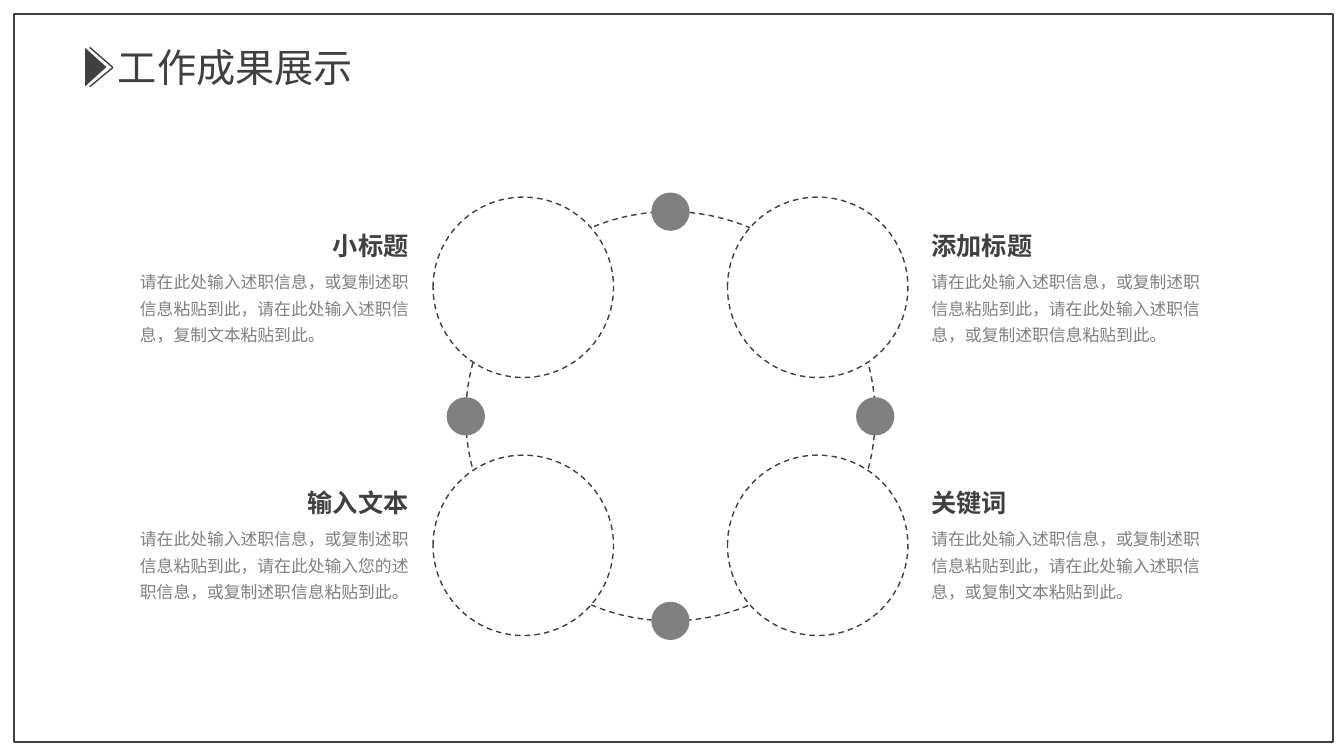
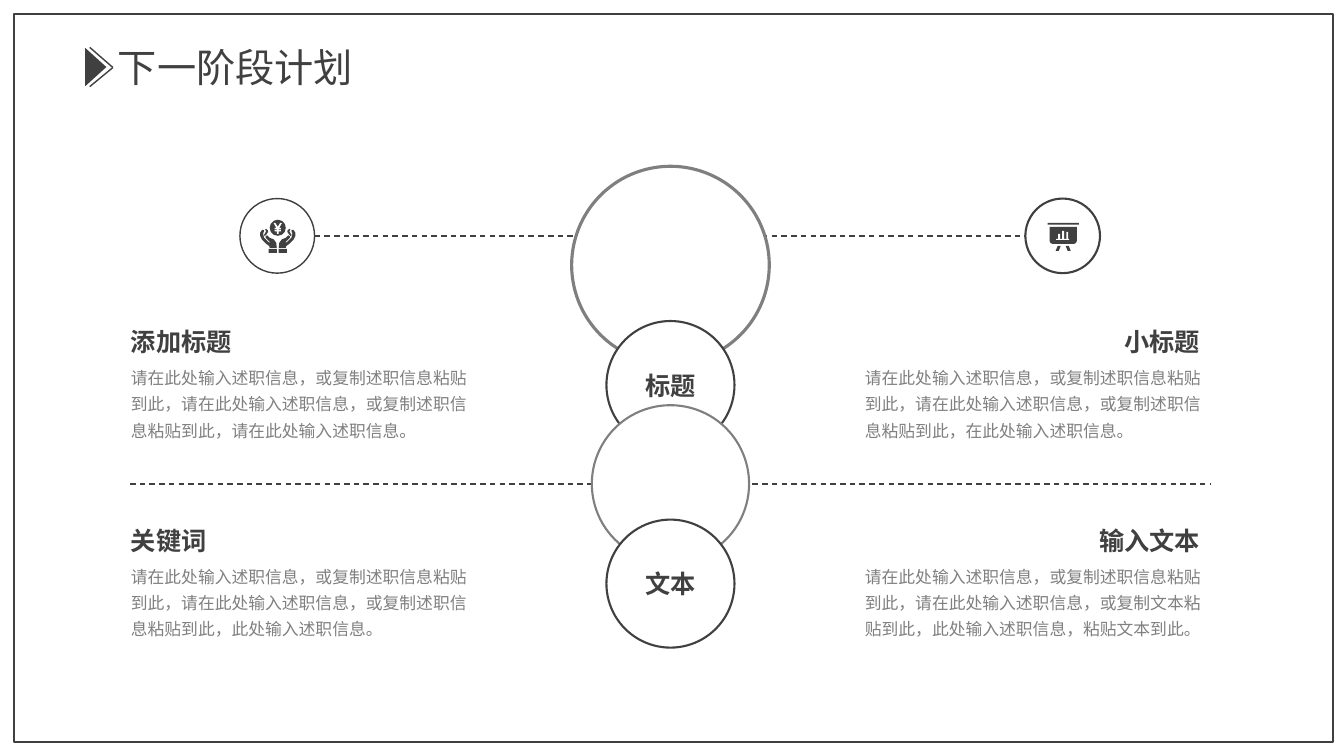
from lxml import etree
from pptx import Presentation
from pptx.dml.color import RGBColor
from pptx.enum.dml import MSO_LINE
from pptx.enum.shapes import MSO_CONNECTOR, MSO_SHAPE
from pptx.enum.text import MSO_ANCHOR, MSO_AUTO_SIZE, PP_ALIGN
from pptx.oxml.ns import qn
from pptx.util import Inches, Pt

RECTANGLE, ELLIPSE, TRIANGLE = MSO_SHAPE.RECTANGLE, MSO_SHAPE.OVAL, MSO_SHAPE.ISOSCELES_TRIANGLE
STRAIGHT, DASH = MSO_CONNECTOR.STRAIGHT, MSO_LINE.DASH
LEFT, CENTER, RIGHT = PP_ALIGN.LEFT, PP_ALIGN.CENTER, PP_ALIGN.RIGHT
TOP, MIDDLE = MSO_ANCHOR.TOP, MSO_ANCHOR.MIDDLE

FONT = "Noto Sans CJK SC"
DARK, GRAY, RING_GRAY, WHITE = "404040", "808080", "7F7F7F", "FFFFFF"
TITLE = {"size": Pt(28), "bold": False}
HEADING = {"size": Pt(18), "bold": True}
BODY = {"size": Pt(12), "bold": False}
TITLE_ONLY = 5


def rgb(value):
    return RGBColor.from_string(value)


def set_values(target, values):
    for name, value in values.items():
        setattr(target, name, value)


def write_text(shape, text, style, color, align=LEFT, anchor=TOP, spacing=1.0):
    frame = shape.text_frame
    set_values(frame, {"word_wrap": True, "auto_size": MSO_AUTO_SIZE.NONE, "vertical_anchor": anchor})
    paragraph = frame.paragraphs[0]
    set_values(paragraph, {"alignment": align, "line_spacing": spacing})
    run = paragraph.add_run()
    run.text = text
    set_values(run.font, {"name": FONT, **style})
    run.font.color.rgb = rgb(color)
    etree.SubElement(run.font._rPr, qn("a:ea"), typeface=FONT)


def set_line(line, color, width=1, dash=None):
    line.color.rgb = rgb(color)
    line.width = Pt(width)
    if dash:
        line.dash_style = dash


def paint(shape, fill=None, line=None, width=1, dash=None):
    shape.shadow.inherit = False
    if fill:
        shape.fill.solid()
        shape.fill.fore_color.rgb = rgb(fill)
    else:
        shape.fill.background()
    if line:
        set_line(shape.line, line, width, dash)
    else:
        shape.line.fill.background()


def add_preset(slide, kind, box, **look):
    shape = slide.shapes.add_shape(kind, *map(Inches, box))
    paint(shape, **look)
    return shape


def add_circle(slide, x, y, diameter, **look):
    box = (x - diameter / 2, y - diameter / 2, diameter, diameter)
    return add_preset(slide, ELLIPSE, box, **look)


def add_line(slide, start, end, dash=None):
    connector = slide.shapes.add_connector(STRAIGHT, *map(Inches, (*start, *end)))
    set_line(connector.line, DARK, dash=dash)
    etree.SubElement(connector._element.spPr, qn("a:effectLst"))


def add_outline(slide, contours, fill):
    contours = [[(Inches(x), Inches(y)) for x, y in contour] for contour in contours]
    builder = slide.shapes.build_freeform(*contours[0][0])
    for index, contour in enumerate(contours):
        if index:
            builder.move_to(*contour[0])
        builder.add_line_segments(contour[1:], close=True)
    paint(builder.convert_to_shape(), fill=fill)


def add_text(slide, box, *args, **values):
    write_text(slide.shapes.add_textbox(*map(Inches, box)), *args, **values)


def add_text_block(slide, left, top, width, heading, body, align, inset):
    add_text(slide, (left, top, width - inset, 0.4), heading, HEADING, DARK, align=align)
    add_text(slide, (left, top + 0.35, width, 0.88), body, BODY, GRAY, spacing=1.3)


def add_titled_slide(presentation, title):
    slide = presentation.slides.add_slide(presentation.slide_layouts[TITLE_ONLY])
    for y in (0.86, 0.47):
        add_line(slide, (1.12, 0.67), (0.89, y))
    add_preset(slide, TRIANGLE, (0.76, 0.56, 0.38, 0.21), fill=DARK).rotation = 90
    placeholder = slide.shapes.title
    set_values(placeholder, {"left": Inches(1.07), "top": Inches(0.38),
                             "width": Inches(4.29), "height": Inches(0.57)})
    write_text(placeholder, title, TITLE, DARK)
    add_preset(slide, RECTANGLE, (0.14, 0.14, 13.08, 7.22), line=DARK)
    return slide


def mirrored(contours, axis):
    return [[(axis + side * x / 100, y / 100) for x, y in contour]
            for contour in contours for side in (1, -1)]


def add_hands_icon(slide, axis):
    cuff = [(1, 247), (9, 247), (9, 251), (1, 251)]
    palm = [(1, 246), (8, 246), (8.5, 244), (12, 241.5), (15.5, 238), (17.5, 234), (17.5, 231),
            (15.5, 228), (14, 228), (13.5, 229), (14.5, 232), (13.5, 236), (9, 240.5),
            (7.5, 240.5), (12, 236), (12, 234.5), (10.5, 233.5), (8, 236), (4, 237.5), (1.5, 241)]
    finger = [(11.5, 227), (12.5, 228), (11.5, 229.5), (13.5, 233), (13, 234.5),
              (11.5, 233), (9.5, 230), (9.5, 229)]
    yen = [(0, 225), (2.5, 221), (4, 221.5), (1.5, 226), (3, 226), (3, 227.5), (0.8, 227.5),
           (0.8, 228.3), (3, 228.3), (3, 229.7), (0.8, 229.7), (0.8, 232), (0, 232)]
    add_outline(slide, mirrored([cuff, palm, finger], axis), DARK)
    add_circle(slide, axis, 2.26, 0.16, fill=DARK)
    add_outline(slide, mirrored([yen], axis), WHITE)


def add_board_icon(slide, axis):
    half_board = [(0, 225), (13.5, 225), (13.5, 239), (12.6, 241.2), (10.5, 242), (0, 242)]
    leg = [(2.5, 244), (5.5, 244), (7.5, 249), (4.5, 249)]
    rail = [(0, 221), (15.5, 221), (15.5, 223), (0, 223)]
    add_outline(slide, mirrored([half_board, leg, rail], axis), DARK)
    baseline = 2.37
    add_preset(slide, RECTANGLE, (axis - 0.07, baseline, 0.13, 0.01), fill=WHITE)
    for offset, top in ((-0.05, 2.32), (-0.01, 2.29), (0.03, 2.3)):
        add_preset(slide, RECTANGLE, (axis + offset, top, 0.02, baseline - top), fill=WHITE)


def build_results(presentation):
    slide = add_titled_slide(presentation, "工作成果展示")
    x, y, radius = 6.65, 4.13, 2.03
    add_circle(slide, x, y, 2 * radius, line=DARK, dash=DASH)
    for across, down in ((0, 1), (0, -1), (-1, 0), (1, 0)):
        add_circle(slide, x + across * radius, y + down * radius, 0.38, fill=GRAY)
    blocks = [
        (-1, -1, "小标题", "请在此处输入述职信息，或复制述职信息粘贴到此，请在此处输入述职信息，复制文本粘贴到此。"),
        (1, -1, "添加标题", "请在此处输入述职信息，或复制述职信息粘贴到此，请在此处输入述职信息，或复制述职信息粘贴到此。"),
        (-1, 1, "输入文本", "请在此处输入述职信息，或复制述职信息粘贴到此，请在此处输入您的述职信息，或复制述职信息粘贴到此。"),
        (1, 1, "关键词", "请在此处输入述职信息，或复制述职信息粘贴到此，请在此处输入述职信息，或复制文本粘贴到此。"),
    ]
    for across, down, heading, body in blocks:
        add_circle(slide, x + across * 1.46, y + down * 1.28, 1.79, fill=WHITE, line=DARK, dash=DASH)
        left, align = (1.29, RIGHT) if across < 0 else (9.14, LEFT)
        top = 2.24 if down < 0 else 4.79
        add_text_block(slide, left, top, 2.9, heading, body, align, inset=0.04)


def build_plan(presentation):
    slide = add_titled_slide(presentation, "下一阶段计划")
    add_line(slide, (1.29, 4.8), (12, 4.8), DASH)
    add_line(slide, (3.12, 2.34), (10.17, 2.34), DASH)
    chain = [
        (2.63, 1.96, RING_GRAY, 2.25, None),
        (3.82, 1.27, DARK, 1.5, "标题"),
        (4.8, 1.56, RING_GRAY, 1.5, None),
        (5.79, 1.27, DARK, 1.5, "文本"),
    ]
    for y, diameter, color, width, label in chain:
        circle = add_circle(slide, 6.65, y, diameter, fill=WHITE, line=color, width=width)
        if label:
            write_text(circle, label, HEADING, DARK, align=CENTER, anchor=MIDDLE)
    for x, width, add_icon in ((2.75, 1, add_hands_icon), (10.54, 1.5, add_board_icon)):
        add_circle(slide, x, 2.34, 0.74, fill=WHITE, line=DARK, width=width)
        add_icon(slide, x + 0.005)
    blocks = [
        (1.2, 3.19, "添加标题", LEFT,
         "请在此处输入述职信息，或复制述职信息粘贴到此，请在此处输入述职信息，或复制述职信息粘贴到此，请在此处输入述职信息。"),
        (1.2, 5.16, "关键词", LEFT,
         "请在此处输入述职信息，或复制述职信息粘贴到此，请在此处输入述职信息，或复制述职信息粘贴到此，此处输入述职信息。"),
        (8.48, 3.19, "小标题", RIGHT,
         "请在此处输入述职信息，或复制述职信息粘贴到此，请在此处输入述职信息，或复制述职信息粘贴到此，在此处输入述职信息。"),
        (8.48, 5.16, "输入文本", RIGHT,
         "请在此处输入述职信息，或复制述职信息粘贴到此，请在此处输入述职信息，或复制文本粘贴到此，此处输入述职信息，粘贴文本到此。"),
    ]
    for left, top, heading, align, body in blocks:
        add_text_block(slide, left, top, 3.66, heading, body, align, inset=0.14)


def main():
    presentation = Presentation()
    set_values(presentation, {"slide_width": Inches(13.33), "slide_height": Inches(7.5)})
    build_results(presentation)
    build_plan(presentation)
    presentation.save("out.pptx")


if __name__ == "__main__":
    main()
